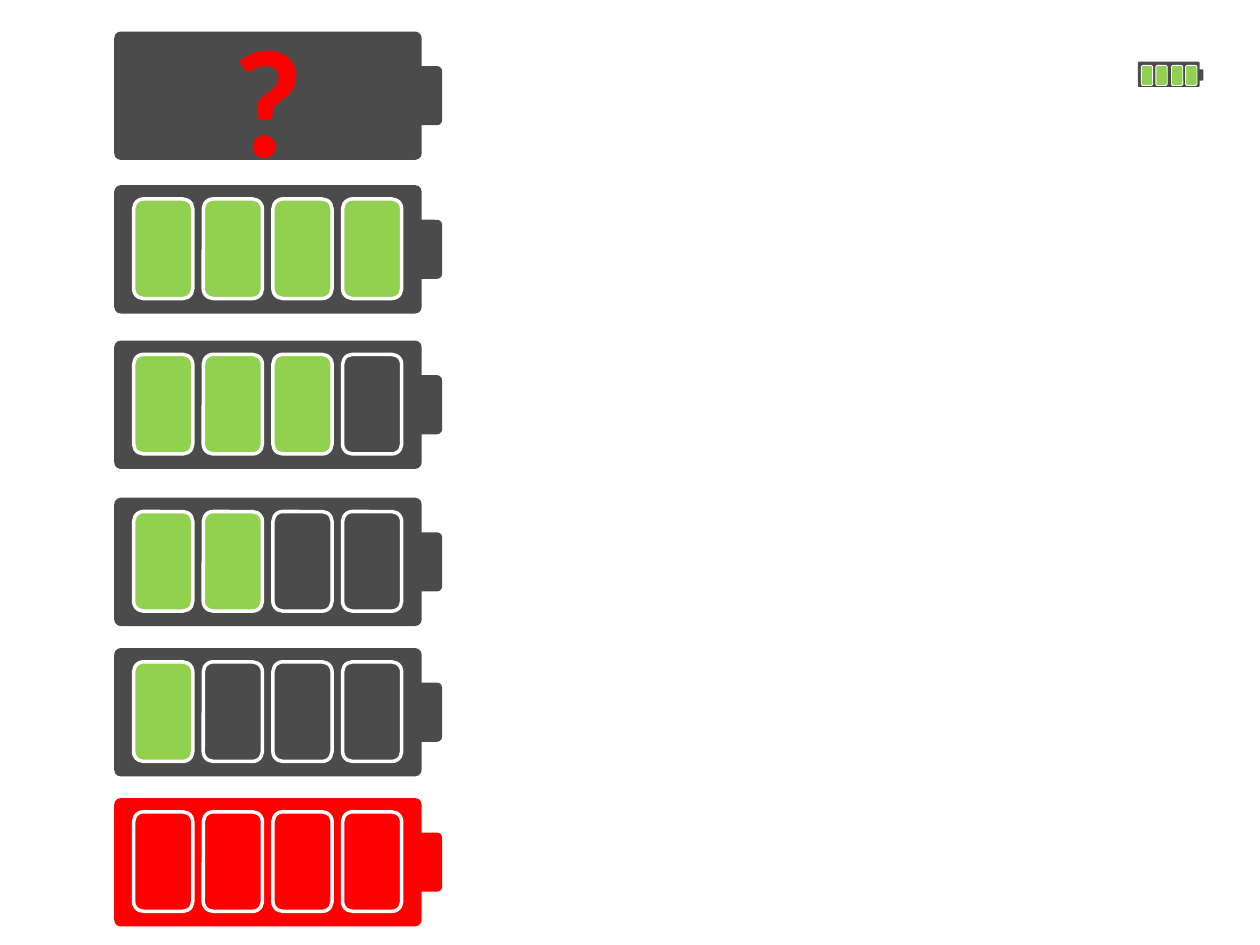
import pptx
import pptx.util
import pptx.dml.color
import pptx.enum.shapes
import pptx.enum.text

Pt = pptx.util.Pt
RGB = pptx.dml.color.RGBColor
GREY = RGB(0x4B, 0x4B, 0x4B)
GREEN = RGB(0x92, 0xD0, 0x50)
RED = RGB(0xFF, 0x00, 0x00)
WHITE = RGB(0xFF, 0xFF, 0xFF)

deck = pptx.Presentation()
deck.slide_width, deck.slide_height = Pt(720), Pt(540)
slide = deck.slides.add_slide(deck.slide_layouts[6])


def add_box(left, top, width, height, fill=None, line=None):
    box = slide.shapes.add_shape(
        pptx.enum.shapes.MSO_SHAPE.ROUNDED_RECTANGLE,
        Pt(left), Pt(top), Pt(width), Pt(height))
    box.shadow.inherit = False
    if fill is None:
        box.fill.background()
    else:
        box.fill.solid()
        box.fill.fore_color.rgb = fill
    if line is None:
        box.line.fill.background()
    else:
        box.line.color.rgb = WHITE
        box.line.width = Pt(line)
    return box


def add_case(left, top, width, height, tip, color):
    case = add_box(left, top, width, height, color)
    case.adjustments[0] = 0.051
    add_box(*tip, color)
    return case


# Large batteries: top, case colour, number of cells, charged cells
rows = [
    (105.8, GREY, 4, 4),
    (194.6, GREY, 4, 3),
    (284.4, GREY, 4, 2),
    (370.3, GREY, 4, 1),
    (456, RED, 4, 0),
    (18, GREY, 0, 0),
]
for top, color, cells, full in rows:
    case = add_case(65.3, top, 175.7, 73.4,
                    (235.4, top + 19.8, 17.3, 33.8), color)
    for i in range(cells):
        add_box(76.4 + 39.8 * i, top + 7.9, 33.8, 56.9,
                GREEN if i < full else None, 2)

# Question mark on the last case, the unknown charge
frame = case.text_frame
frame.vertical_anchor = pptx.enum.text.MSO_ANCHOR.MIDDLE
para = frame.paragraphs[0]
para.alignment = pptx.enum.text.PP_ALIGN.CENTER
run = para.add_run()
run.text = "?"
run.font.name = "Calibri"
run.font.size = Pt(88)
run.font.bold = True
run.font.color.rgb = RED

# Small full battery
add_case(650.2, 35.3, 35.3, 14.4, (684, 39.6, 3.6, 6.5), GREY)
for left in (652.2, 660.5, 669.4, 677.5):
    add_box(left, 37.4, 6.5, 11.5, GREEN, 0.5)

deck.save("out.pptx")
